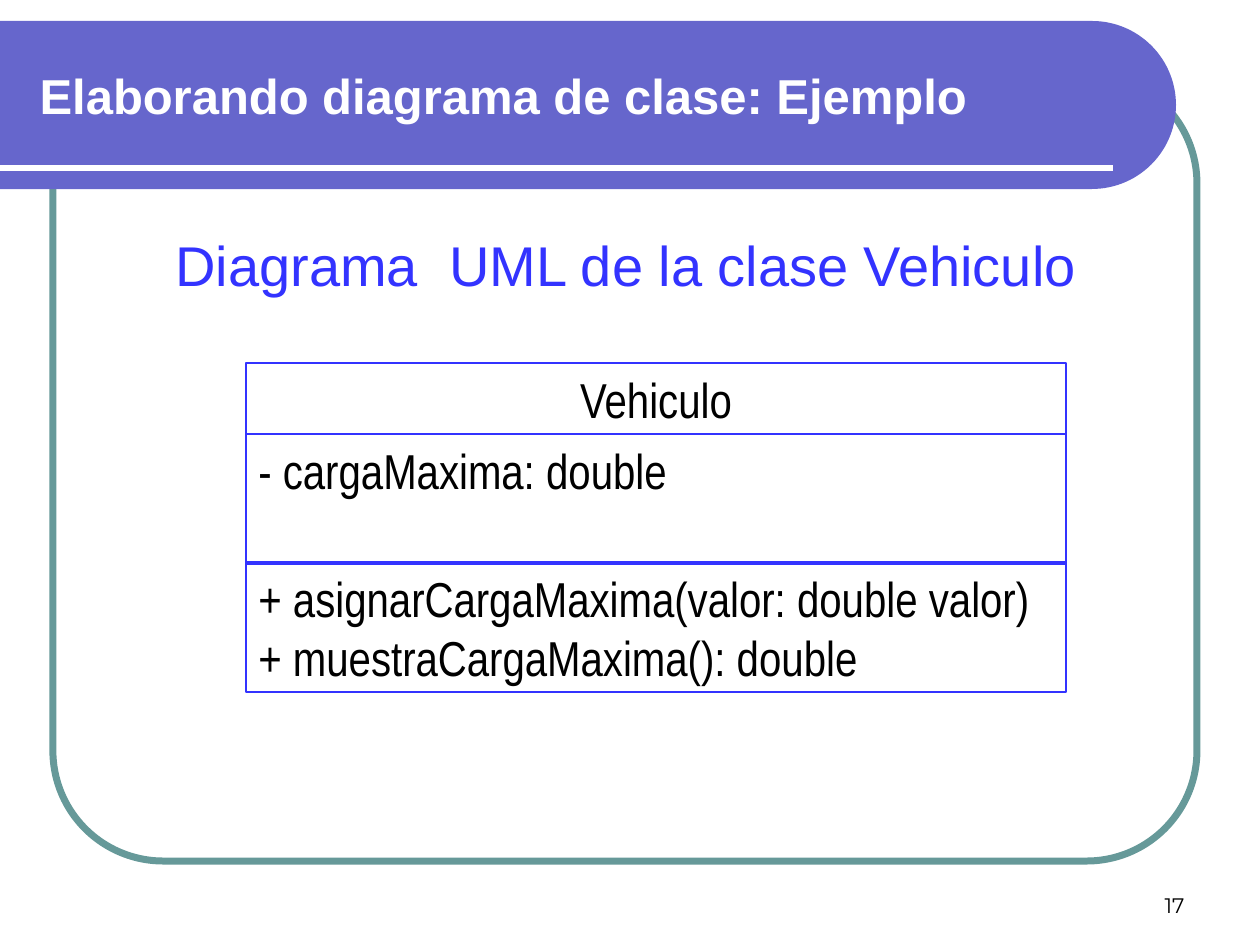
from dataclasses import dataclass
from math import cos, pi, sin

from pptx import Presentation
from pptx.dml.color import RGBColor as RGB
from pptx.enum.shapes import MSO_CONNECTOR as Connector, MSO_SHAPE as Preset
from pptx.enum.text import MSO_ANCHOR as Anchor, MSO_AUTO_SIZE as AutoSize, PP_ALIGN as Align
from pptx.oxml.ns import qn
from pptx.util import Pt


@dataclass(frozen=True)
class Theme:
    white = RGB(0xFF, 0xFF, 0xFF)
    black = RGB(0, 0, 0)
    blue = RGB(0x33, 0x33, 0xFF)
    violet = RGB(0x66, 0x66, 0xCC)
    teal = RGB(0x66, 0x99, 0x99)
    heading_size = Pt(32)
    text_size = Pt(28)
    number_size = Pt(12)


theme = Theme()
SCALE = 914400 / 126


def px(*lengths):
    return [round(length * SCALE) for length in lengths]


def write(shape, lines, font_name, size, color, align=Align.LEFT, anchor=Anchor.TOP, wrap=True):
    frame = shape.text_frame
    frame.text = "\n".join(lines)
    frame.word_wrap = wrap
    frame.auto_size = AutoSize.NONE
    frame.vertical_anchor = anchor
    for paragraph in frame.paragraphs:
        paragraph.alignment = align
        paragraph.font.name = font_name
        paragraph.font.size = size
        paragraph.font.color.rgb = color


presentation = Presentation()
presentation.slide_width, presentation.slide_height = px(1260, 945)
slide = presentation.slides.add_slide(presentation.slide_layouts[5])
shapes = slide.shapes

border = shapes.add_shape(Preset.ROUNDED_RECTANGLE, *px(53, 73, 1144, 788))
border.adjustments[0] = 0.14
border.shadow.inherit = False
border.fill.background()
border.line.color.rgb = theme.teal
border.line.width = Pt(4)

radius, center_x, center_y, steps = 84, 1092, 105, 60
angles = [pi * step / steps - pi / 2 for step in range(steps + 1)]
curve = [px(center_x + radius * cos(angle), center_y + radius * sin(angle)) for angle in angles]
builder = shapes.build_freeform(*px(0, center_y - radius))
builder.add_line_segments(curve + [px(0, center_y + radius)], close=True)
band = builder.convert_to_shape()
band.shadow.inherit = False
band.fill.solid()
band.fill.fore_color.rgb = theme.violet
band.line.fill.background()

rule = shapes.add_connector(Connector.STRAIGHT, *px(0, 168, 1113, 168))
rule.line.color.rgb = theme.white
rule.line.width = Pt(3)
properties = rule.element.spPr
properties.append(properties.makeelement(qn("a:effectLst"), {}))

number = shapes.add_textbox(*px(903, 861, 294, 63))
write(number, ["17"], "Montserrat", theme.number_size, theme.black, Align.RIGHT, Anchor.BOTTOM)

compartments = [
    (363, 71, Align.CENTER, ["Vehiculo"]),
    (434, 130, Align.LEFT, ["- cargaMaxima: double"]),
    (562, 130, Align.LEFT, ["+ asignarCargaMaxima(valor: double valor)", "+ muestraCargaMaxima(): double"]),
]
for top, height, align, lines in compartments:
    compartment = shapes.add_shape(Preset.RECTANGLE, *px(246, top, 820, height))
    compartment.shadow.inherit = False
    compartment.fill.background()
    compartment.line.color.rgb = theme.blue
    compartment.line.width = Pt(0.75)
    write(compartment, lines, "Arial Narrow", theme.text_size, theme.black, align)

heading = shapes.add_textbox(*px(163, 224, 932, 81))
write(heading, ["Diagrama  UML de la clase Vehiculo"], "Arial", theme.heading_size, theme.blue, wrap=False)

title = shapes.title
title.left, title.top, title.width, title.height = px(27, 32, 1105, 126)
write(title, ["Elaborando diagrama de clase: Ejemplo"], "Arial", theme.text_size, theme.white, anchor=Anchor.MIDDLE)
title.text_frame.paragraphs[0].font.bold = True
shapes.element.append(title.element)

presentation.save("out.pptx")
